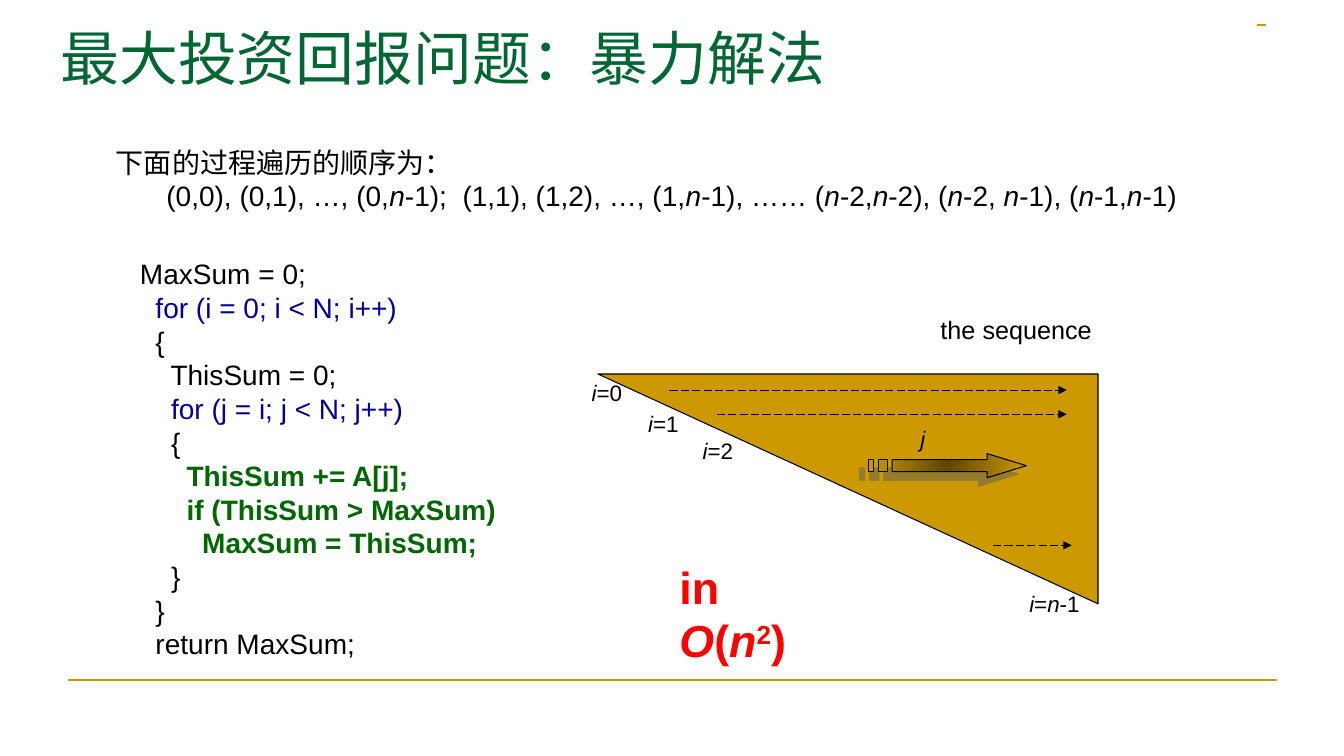
"""Builds a slide on the brute-force solution of the maximum return problem."""
from copy import deepcopy
from dataclasses import dataclass

from lxml import etree
from pptx import Presentation
from pptx import util as u
from pptx.dml.color import RGBColor
from pptx.enum import dml, shapes, text
from pptx.oxml import ns

TITLE = "最大投资回报问题：暴力解法"
INTRO = [
    ("下面的过程遍历的顺序为：", 0),
    ("(0,0), (0,1), …, (0,*n*-1);  (1,1), (1,2), …, (1,*n*-1), …… "
     "(*n*-2,*n*-2), (*n*-2, *n*-1), (*n*-1,*n*-1)", 50),
]
CODE = [
    ("MaxSum = 0;", "plain"),
    ("  for (i = 0; i < N; i++)", "loop"),
    ("  {", "plain"),
    ("    ThisSum = 0;", "plain"),
    ("    for (j = i; j < N; j++)", "loop"),
    ("    {", "plain"),
    ("      ThisSum += A[j];", "core"),
    ("      if (ThisSum > MaxSum)", "core"),
    ("        MaxSum = ThisSum;", "core"),
    ("    }", "plain"),
    ("  }", "plain"),
    ("  return MaxSum;", "plain"),
]
CAPTION = ("the sequence", (923, 307, 197, 40))
LABELS = [
    ("*i*=0", (577, 371, 79, 37)),
    ("*i*=1", (633, 402, 79, 37)),
    ("*i*=2", (687, 429, 79, 37)),
    ("*i*=*n*-1", (1011, 581, 79, 37)),
    ("*j*", (903, 417, 71, 37)),
]
COST = ("in *O*(*n*^2^)", (664, 550, 165, 117))
TRIANGLE = (593, 371, 496, 228)
SWEEPS = [(664, 1058, 387), (711, 1058, 411), (985, 1063, 541)]
RULES = [(1247, 1256, 25), (67, 1267, 675)]
ARROW = [
    [(979, 450), (979, 456), (885, 456), (885, 468), (979, 468), (979, 474), (1018, 462)],
    [(871, 456), (871, 468), (880, 468), (880, 456)],
    [(861, 456), (861, 468), (866, 468), (866, 456)],
]


@dataclass(frozen=True)
class Theme:
    font: str = "Arial"
    title_font: str = "Times New Roman"
    title: str = "006633"
    plain: str = "000000"
    loop: str = "000099"
    core: str = "006600"
    cost: str = "FF0000"
    gold: str = "CC9900"
    dark_gold: str = "5E4600"
    shadow: str = "5F5F5F"
    paper: str = "FFFFFF"
    title_size: int = 42
    cost_size: int = 32
    body_size: int = 20
    caption_size: int = 18
    label_size: int = 16
    code_pitch: int = 24


THEME = Theme()
PX = 9144


def px(*lengths):
    return [u.Emu(length * PX) for length in lengths]


def rgb(color):
    return RGBColor.from_string(color)


def child(parent, tag, **attributes):
    return etree.SubElement(parent, ns.qn(tag), attributes)


def write(para, markup, size, color=THEME.plain, bold=False, font=THEME.font):
    for raised, part in enumerate(markup.split("^")):
        for slanted, words in enumerate(part.split("*")):
            if not words:
                continue
            span = para.add_run()
            span.text = words
            span.font.name, span.font.size = font, u.Pt(size)
            span.font.bold, span.font.italic = bold, slanted % 2 == 1
            span.font.color.rgb = rgb(color)
            if raised % 2:
                span.font._element.set("baseline", "30000")


def prepare(box, place):
    box.left, box.top, box.width, box.height = px(*place)
    frame = box.text_frame
    frame.word_wrap = True
    frame.auto_size = text.MSO_AUTO_SIZE.NONE
    frame.vertical_anchor = text.MSO_ANCHOR.TOP
    return frame


def add_paragraphs(frame, count):
    return [frame.paragraphs[0]] + [frame.add_paragraph() for _ in range(count - 1)]


def add_text(page, markup, place, size, **style):
    frame = prepare(page.shapes.add_textbox(*px(*place)), place)
    write(frame.paragraphs[0], markup, size, **style)


def add_line(page, left, right, y, color, width, arrow=False):
    line = page.shapes.add_connector(shapes.MSO_CONNECTOR.STRAIGHT, *px(left, y, right, y))
    line.line.color.rgb, line.line.width = rgb(color), u.Pt(width)
    if arrow:
        line.line.dash_style = dml.MSO_LINE.LONG_DASH
        child(line.line._get_or_add_ln(), "a:tailEnd", type="triangle")
    child(line._element.spPr, "a:effectLst")


def outline(shape):
    shape.line.color.rgb, shape.line.width = rgb(THEME.plain), u.Pt(0.75)
    shape.shadow.inherit = False


def add_triangle(page):
    triangle = page.shapes.add_shape(shapes.MSO_SHAPE.RIGHT_TRIANGLE, *px(*TRIANGLE))
    triangle.rotation = 180
    triangle.fill.solid()
    triangle.fill.fore_color.rgb = rgb(THEME.gold)
    outline(triangle)


def add_block_arrow(page):
    builder = page.shapes.build_freeform(*ARROW[0][0], scale=PX)
    for index, points in enumerate(ARROW):
        if index:
            builder.move_to(*points[0])
        builder.add_line_segments(points[1:], close=True)
    arrow = builder.convert_to_shape()
    arrow.fill.gradient()
    arrow.fill.gradient_angle = 0
    first = arrow.fill.gradient_stops[0]._gs
    first.addnext(deepcopy(first))
    colors = (THEME.gold, THEME.dark_gold, THEME.gold)
    for stop, color, position in zip(arrow.fill.gradient_stops, colors, (0, 0.5, 1)):
        stop.color.rgb, stop.position = rgb(color), position
    outline(arrow)
    effects = arrow._element.spPr.find(ns.qn("a:effectLst"))
    shadow = child(effects, "a:outerShdw", dist=str(u.Pt(8.5)), dir=str(135 * 60000),
                   algn="ctr", rotWithShape="0")
    child(child(shadow, "a:srgbClr", val=THEME.shadow), "a:alpha", val="50000")


def add_placeholders(page):
    title, body = page.placeholders
    frame = prepare(title, (50, 17, 1197, 125))
    title.fill.solid()
    title.fill.fore_color.rgb = rgb(THEME.paper)
    frame.paragraphs[0].alignment = text.PP_ALIGN.LEFT
    write(frame.paragraphs[0], TITLE, THEME.title_size, THEME.title, font=THEME.title_font)
    frame = prepare(body, (105, 139, 1102, 77))
    for para, (markup, indent) in zip(add_paragraphs(frame, len(INTRO)), INTRO):
        props = para._p.get_or_add_pPr()
        props.set("marL", str(indent * PX))
        props.set("indent", "0")
        child(props, "a:buNone")
        para.space_before = u.Pt(0)
        write(para, markup, THEME.body_size)


def add_code(page):
    place = (129, 250, 474, 416)
    frame = prepare(page.shapes.add_textbox(*px(*place)), place)
    for para, (line, role) in zip(add_paragraphs(frame, len(CODE)), CODE):
        para.line_spacing = u.Pt(THEME.code_pitch)
        write(para, line, THEME.body_size, getattr(THEME, role), role == "core")


def main():
    deck = Presentation()
    deck.slide_width, deck.slide_height = px(1333, 750)
    page = deck.slides.add_slide(deck.slide_layouts[1])
    add_placeholders(page)
    for left, right, y in RULES:
        add_line(page, left, right, y, THEME.gold, 1.5)
    add_code(page)
    add_triangle(page)
    add_text(page, *CAPTION, THEME.caption_size)
    for markup, place in LABELS:
        add_text(page, markup, place, THEME.label_size)
    add_block_arrow(page)
    for left, right, y in SWEEPS:
        add_line(page, left, right, y, THEME.plain, 0.75, arrow=True)
    add_text(page, *COST, THEME.cost_size, color=THEME.cost, bold=True)
    deck.save("out.pptx")


if __name__ == "__main__":
    main()
